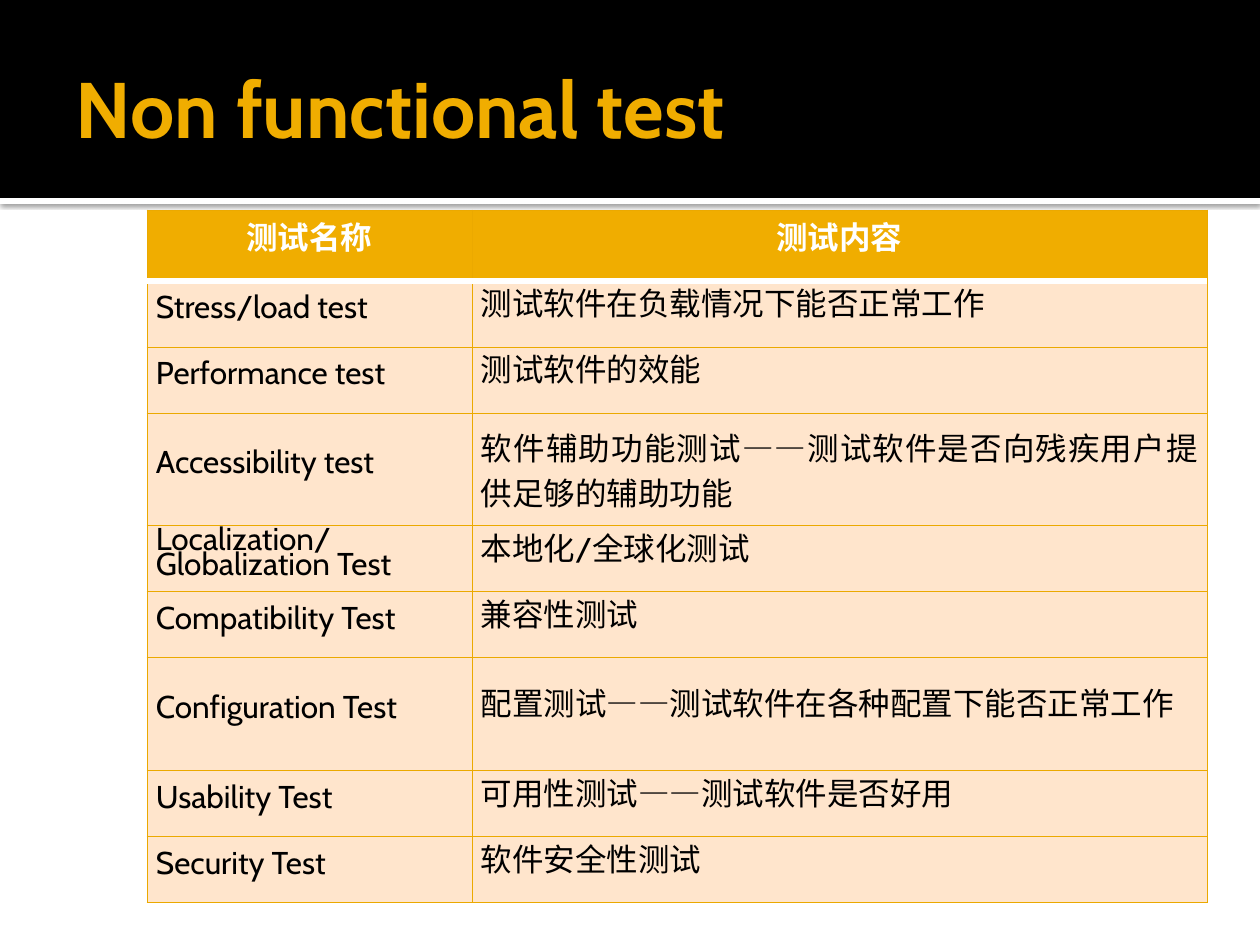
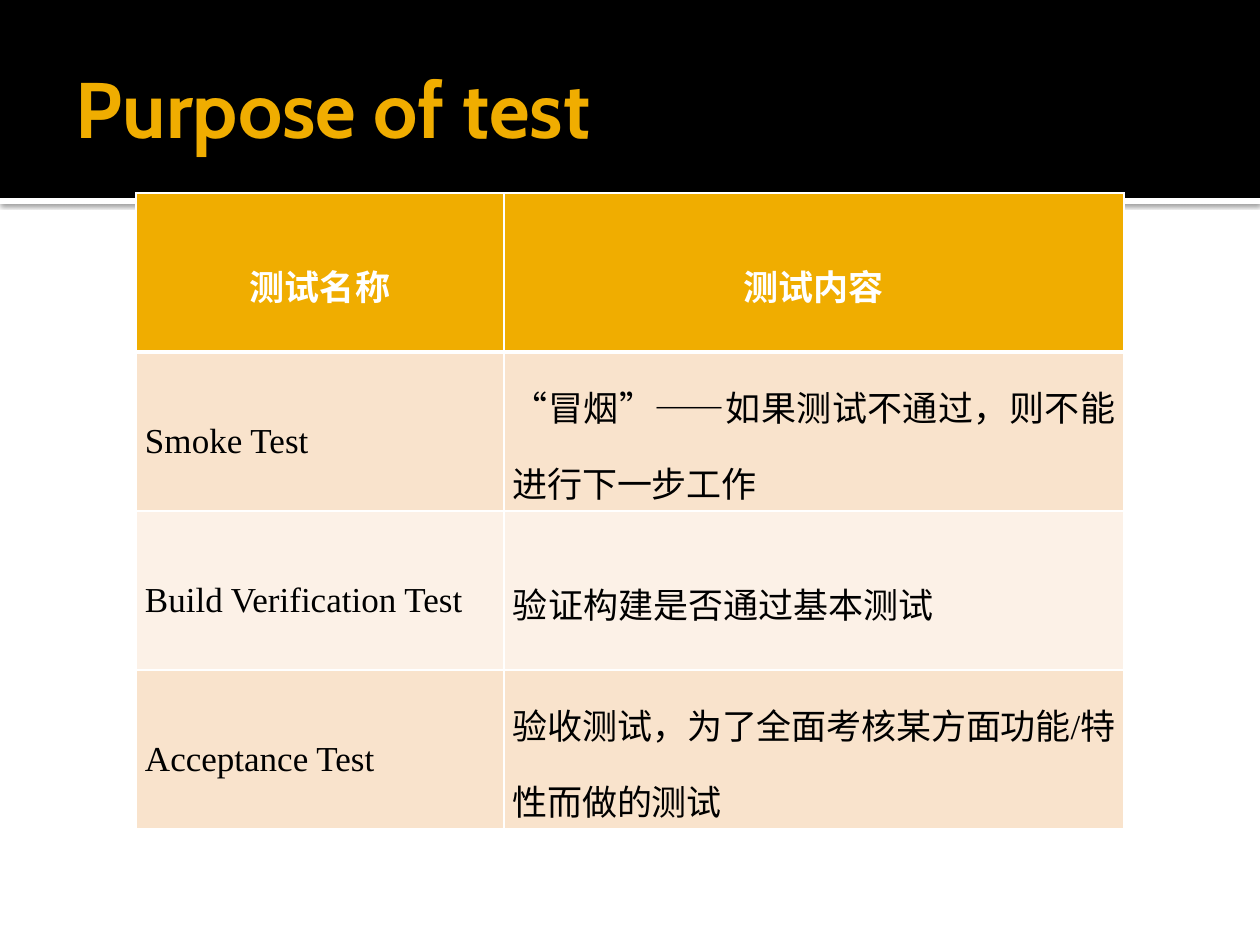
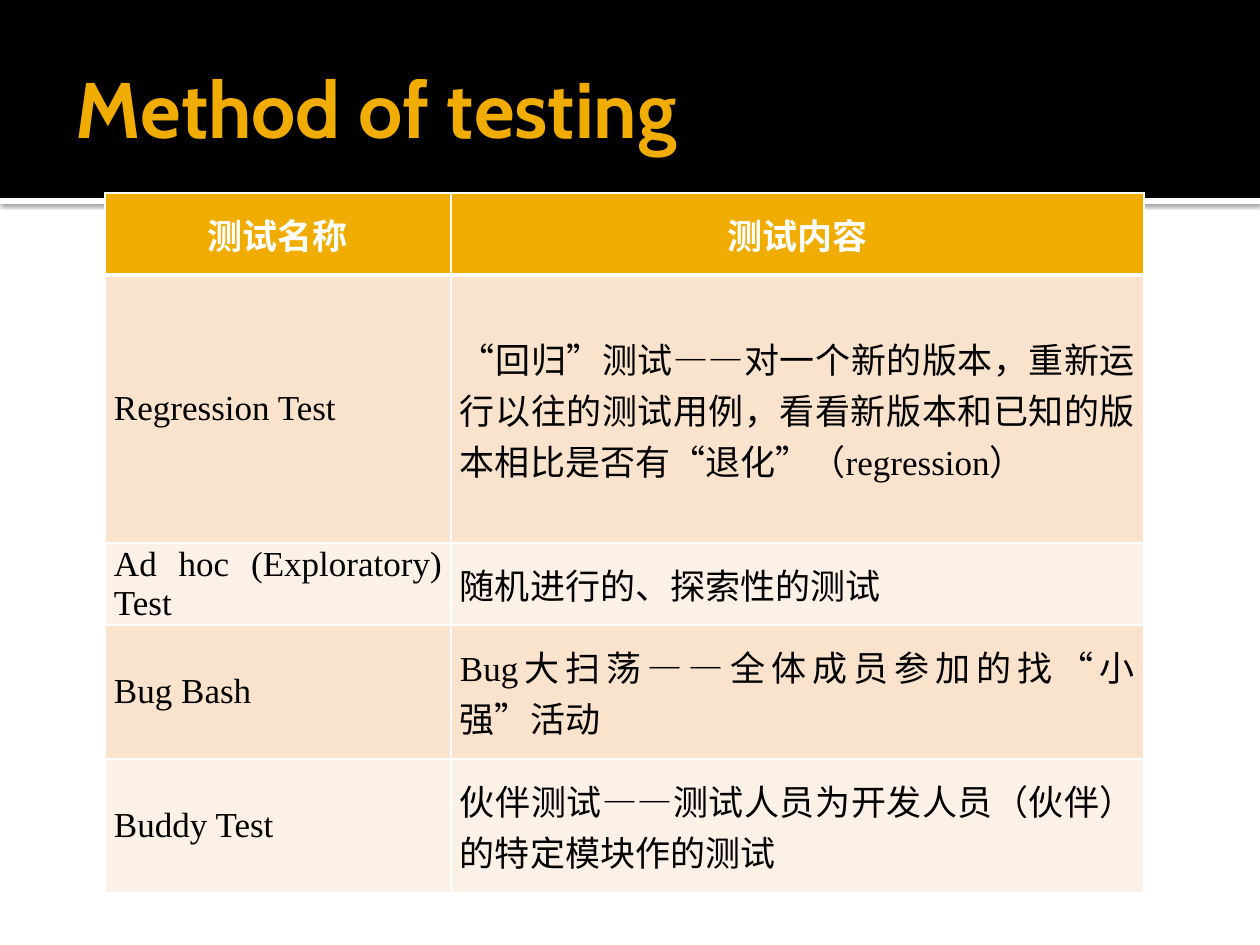
from lxml.etree import SubElement
from pptx import Presentation
from pptx.dml.color import RGBColor
from pptx.enum.lang import MSO_LANGUAGE_ID as Lang
from pptx.enum.shapes import MSO_SHAPE as Shape
from pptx.enum.text import MSO_ANCHOR as Anchor, MSO_AUTO_SIZE as AutoSize, PP_ALIGN as Align
from pptx.oxml import parse_xml
from pptx.oxml.ns import nsdecls, qn
from pptx.util import Emu, Pt

GOLD, BLACK, WHITE = "F0AD00", "000000", "FFFFFF"
RULE_GOLD, PEACH, SAND, CREAM = "EBA900", "FFE5CC", "F9E3CC", "FCF1E7"
HEADINGS = ("测试名称", "测试内容")
DASH = "—"


def px(length):
    return Emu(round(length * 914400 / 126))


def color(hex_text):
    return RGBColor.from_string(hex_text)


def add_text(para, text, *, size, font, ink, bold=False, track=0, language=None):
    span = para.add_run()
    span.text = text
    span.font.size, span.font.name, span.font.bold = Pt(size), font, bold
    span.font.color.rgb = color(ink)
    if language:
        span.font.language_id = language
    if track:
        span._r.get_or_add_rPr().set("spc", str(round(track * 100)))


def set_border(cell, side, ink, width):
    line = SubElement(cell._tc.get_or_add_tcPr(), qn(f"a:ln{side}"), w=str(Pt(width)))
    fill = SubElement(line, qn("a:solidFill"))
    SubElement(fill, qn("a:srgbClr"), val=ink)


class Slides:
    def __init__(self):
        self.deck = Presentation()
        self.deck.slide_width, self.deck.slide_height = px(1260), px(945)
        self.layout = self.deck.slide_layouts[5]
        self.page = None

    def start(self, title):
        self.page = self.deck.slides.add_slide(self.layout)
        if len(self.deck.slides) == 1:
            self.add_bands()
        box = self.page.shapes.title
        box.left, box.top, box.width, box.height = px(63), px(21), px(1134), px(173)
        frame = box.text_frame
        frame.auto_size, frame.word_wrap = AutoSize.NONE, True
        frame.vertical_anchor = Anchor.MIDDLE
        frame.margin_left = px(13)
        frame.margin_top = frame.margin_right = frame.margin_bottom = px(6)
        para = frame.paragraphs[0]
        para.alignment = Align.LEFT
        add_text(para, title, size=45, font="Cabin", ink=GOLD, bold=True)

    def add_bands(self):
        # Both bands live on the layout, so every page shows them
        strip = self.band(198, 6, WHITE)
        strip._element.spPr.append(parse_xml(
            f'<a:effectLst {nsdecls("a")}><a:outerShdw blurRad="{Pt(2.5)}" dist="{Pt(0.8)}" '
            'dir="5400000" algn="tl" rotWithShape="0"><a:srgbClr val="000000">'
            '<a:alpha val="60000"/></a:srgbClr></a:outerShdw></a:effectLst>'))
        header = self.band(0, 198, BLACK)
        header.shadow.inherit = False
        for place, shape in enumerate((strip, header), start=2):
            self.layout.shapes._spTree.insert(place, shape._element)

    def band(self, top, height, fill):
        shape = self.page.shapes.add_shape(Shape.RECTANGLE, 0, px(top), px(1260), px(height))
        shape.fill.solid()
        shape.fill.fore_color.rgb = color(fill)
        shape.line.fill.background()
        return shape

    def table(self, left, top, widths, heights, rows, *, fills, border, header_rule, size,
              head_font, body_font, head_spacing=None, name_spacing=None,
              detail_spacing=None, loose_rows=(), track=0, tracked_rows=()):
        frame = self.page.shapes.add_table(len(heights), len(widths), px(left), px(top),
                                           px(sum(widths)), px(sum(heights)))
        table = frame.table
        for column, width in zip(table.columns, widths):
            column.width = px(width)
        for row, height in zip(table.rows, heights):
            row.height = px(height)
        for r, texts in enumerate((HEADINGS, *rows)):
            for c, text in enumerate(texts):
                cell = table.cell(r, c)
                # The thick rule lies between the header and the first body row
                for side in "LRTB":
                    thick = (r, side) in ((0, "B"), (1, "T"))
                    set_border(cell, side, *(header_rule if thick else border))
                cell.fill.solid()
                cell.fill.fore_color.rgb = color(fills[(r - 1) % len(fills)] if r else GOLD)
                cell.vertical_anchor = Anchor.MIDDLE
                cell.margin_left = cell.margin_right = px(9)
                cell.margin_top = cell.margin_bottom = 0
                para = cell.text_frame.paragraphs[0]
                look = dict(size=size, language=Lang.SIMPLIFIED_CHINESE)
                if r == 0:
                    para.alignment, para.line_spacing = Align.CENTER, head_spacing
                    add_text(para, text, font=head_font, ink=WHITE, bold=True, **look)
                    continue
                para.alignment = Align.JUSTIFY
                look.update(font=body_font, ink=BLACK)
                if c == 0:
                    para.line_spacing = name_spacing
                    add_text(para, text, **look)
                    continue
                para.line_spacing = None if r in loose_rows else detail_spacing
                para.space_before = para.space_after = Pt(1.5)
                before, dashes, after = text.partition(DASH * 2)
                if r in tracked_rows:
                    add_text(para, text, track=track, **look)
                elif dashes:
                    # Tighten the first dash so that the pair joins
                    add_text(para, before, **look)
                    add_text(para, DASH, track=-1, **look)
                    add_text(para, DASH + after, **look)
                else:
                    add_text(para, text, **look)


def main():
    slides = Slides()
    white_grid = dict(fills=(SAND, CREAM), border=(WHITE, 1), header_rule=(WHITE, 3),
                      size=20, head_font="Arial", body_font="Times New Roman")

    # Non functional tests
    slides.start("Non functional test")
    low, high = 66, 113
    slides.table(147, 210, (325, 735), (71, low, low, high, low, low, high, low, low), (
        ("Stress/load test", "测试软件在负载情况下能否正常工作"),
        ("Performance test", "测试软件的效能"),
        ("Accessibility test", "软件辅助功能测试——测试软件是否向残疾用户提供足够的辅助功能"),
        ("Localization/Globalization Test", "本地化/全球化测试"),
        ("Compatibility Test", "兼容性测试"),
        ("Configuration Test", "配置测试——测试软件在各种配置下能否正常工作"),
        ("Usability Test", "可用性测试——测试软件是否好用"),
        ("Security Test", "软件安全性测试"),
    ), fills=(PEACH,), border=(RULE_GOLD, 0.5), header_rule=(WHITE, 3.78), size=18,
        head_font="Cabin", body_font="Cabin", head_spacing=Pt(15), name_spacing=Pt(14),
        detail_spacing=Pt(12), loose_rows=(3,))

    # Purposes
    slides.start("Purpose of test")
    slides.table(136, 193, (368, 620), (159,) * 4, (
        ("Smoke Test", "“冒烟”——如果测试不通过，则不能进行下一步工作"),
        ("Build Verification Test", "验证构建是否通过基本测试"),
        ("Acceptance Test", "验收测试，为了全面考核某方面功能/特性而做的测试"),
    ), head_spacing=1.5, name_spacing=1.5, detail_spacing=1.5, track=-0.2,
        tracked_rows=(1, 3), **white_grid)

    # Methods
    slides.start("Method of testing")
    slides.table(105, 193, (346, 693), (82, 268, 82, 134, 134), (
        ("Regression Test", "“回归”测试——对一个新的版本，重新运行以往的测试用例，"
                            "看看新版本和已知的版本相比是否有“退化”（regression）"),
        ("Ad hoc (Exploratory) Test", "随机进行的、探索性的测试"),
        ("Bug Bash", "Bug大扫荡——全体成员参加的找“小强”活动"),
        ("Buddy Test", "伙伴测试——测试人员为开发人员（伙伴）的特定模块作的测试"),
    ), **white_grid)

    slides.deck.save("out.pptx")


if __name__ == "__main__":
    main()
